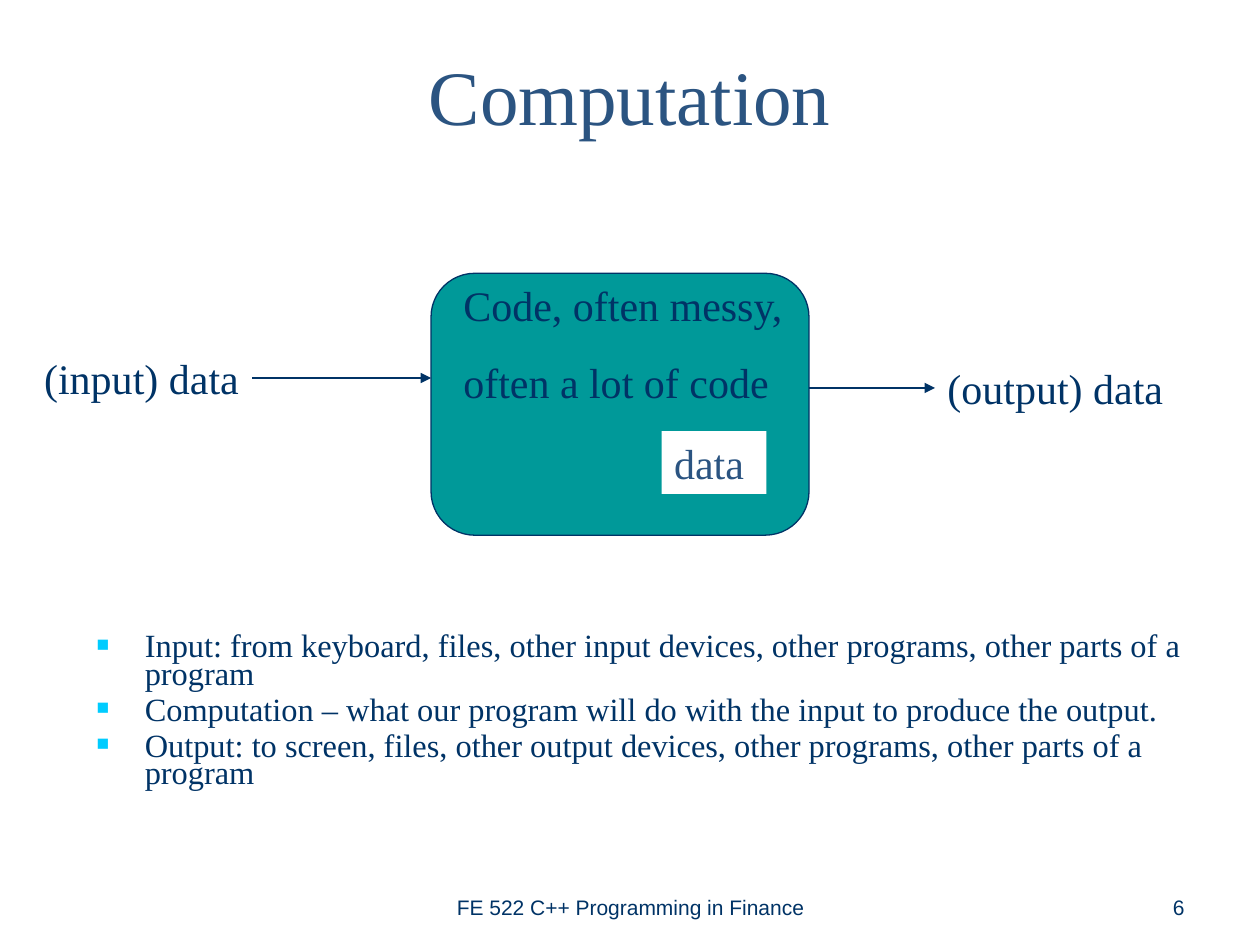
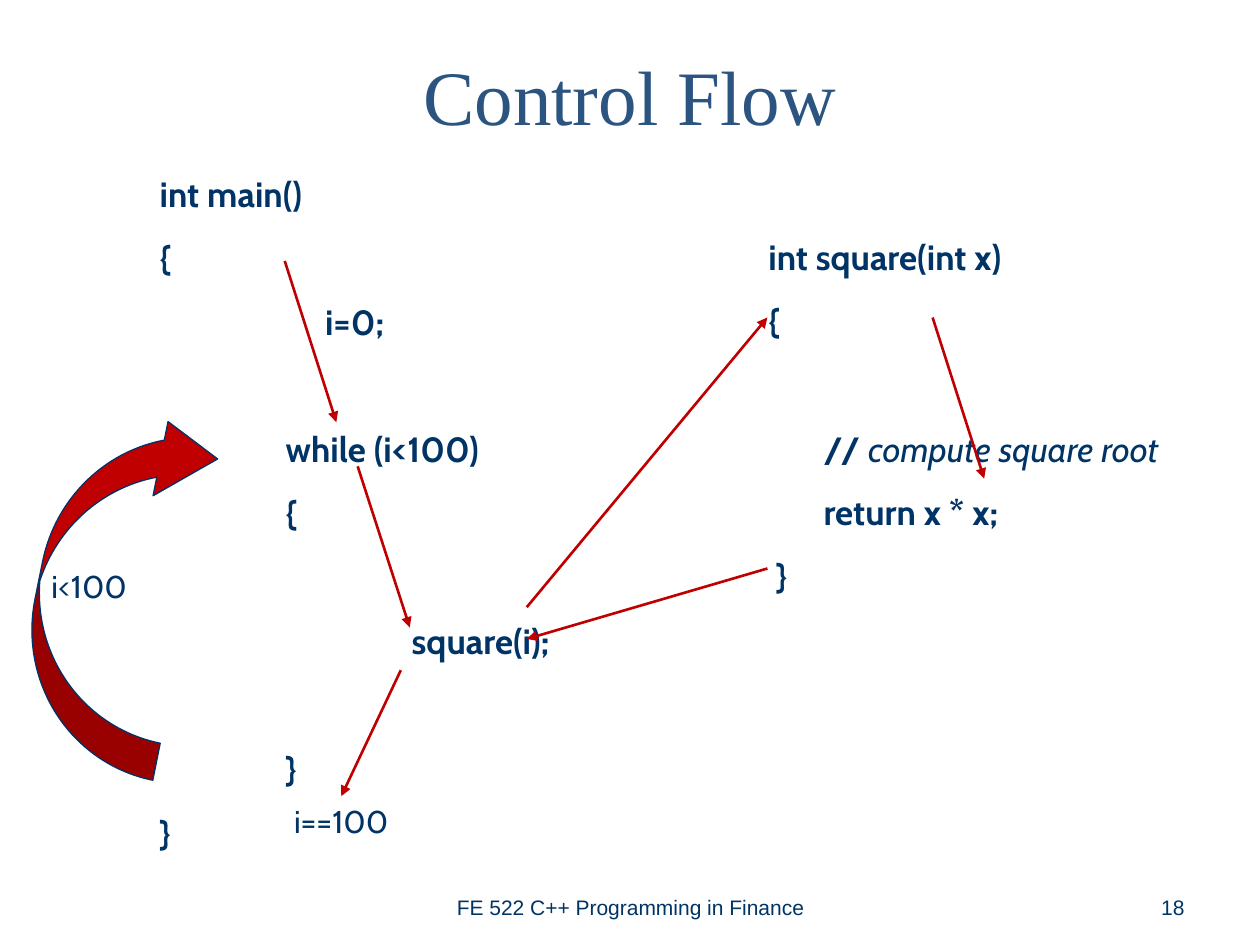
from lxml.etree import SubElement
from pptx import Presentation
from pptx.dml.color import RGBColor
from pptx.enum.shapes import MSO_CONNECTOR as Connector, MSO_SHAPE as Shape
from pptx.enum.text import MSO_ANCHOR as Anchor, MSO_AUTO_SIZE as AutoSize, PP_ALIGN as Align
from pptx.oxml.ns import qn
from pptx.util import Cm, Pt

# Shared look
COLORS = {"navy": "003366", "title": "2B5481", "teal": "009999",
          "bullet": "00CCFF", "red": "C00000", "white": "FFFFFF"}
SERIF, CODE_FONT = "Times New Roman", "Cabin"
STYLES = {
    "title": {"name": SERIF, "size": Pt(44), "color": "title"},
    "label": {"name": SERIF, "size": Pt(24), "color": "navy"},
    "data": {"name": SERIF, "size": Pt(24), "color": "title"},
    "bullets": {"name": SERIF, "size": Pt(18.5), "color": "navy"},
    "code": {"name": CODE_FONT, "size": Pt(20), "color": "navy", "bold": True},
    "condition": {"name": CODE_FONT, "size": Pt(18), "color": "navy"},
    "footer": {"name": "Arial", "size": Pt(12), "color": "navy"},
}
TITLE_AREA = (1.27, 0, 22.86, 3.81)
FOOTER = "FE 522 C++ Programming in Finance"
FOOTER_AREA = (8.69, 17.35, 8.05, 1.32)
NUMBER_AREA = (18.21, 17.35, 5.92, 1.32)

# Computation slide: areas are left, top, width, height in cm
CODE_BOX = (8.69, 5.51, 7.62, 5.28)
DATA_BOX = (13.34, 8.69, 2.11, 1.27)
LABELS = [
    (["(input) data"], (0.64, 6.99, 4.65, 1.27)),
    (["(output) data"], (18.85, 7.19, 5.2, 1.27)),
    (["Code, often messy,", "often a lot of code"], (9.09, 5.51, 12.67, 2.82)),
]
DATA_ARROWS = [(5.08, 7.62, 8.69, 7.62), (16.31, 7.82, 18.85, 7.82)]
BULLETS_AREA = (1.7, 12.7, 22.43, 4.01)
BULLETS = [
    "Input: from keyboard, files, other input devices, other programs, "
    "other parts of a program",
    "Computation – what our program will do with the input to produce the output.",
    "Output: to screen, files, other output devices, other programs, "
    "other parts of a program",
]

# Control flow slide: code lines are (tab level, text spans); None is a skipped line
MAIN_AREA, MAIN_MARGIN = (1.7, 3.35, 9.73, 14.83), 1.27
MAIN_CODE = [
    (0, ["int main()"]), (0, ["{"]), (1, ["     i=0;"]), None,
    (1, ["while (i<100)"]), (1, ["{"]), None,
    (2, ["square(i);"]), None, (1, ["}"]), (0, ["}"]),
]
SQUARE_AREA, SQUARE_MARGIN = (12.7, 4.62, 12.7, 7.54), 2.54
SQUARE_CODE = [
    (0, ["int square(int x)"]), (0, ["{"]), None,
    (0, ["       // ", ("compute square root", {"bold": False, "italic": True})]),
    (0, ["       return x * x;"]), (0, [" }"]),
]
TAB = 2.54
CODE_GAP, CODE_PITCH = 12.5, 36.5
CONDITIONS = [("i<100", (0.43, 11.3, 2.74, 1.02)), ("i==100", (5.51, 16.05, 2.74, 1.02))]
FLOW_ARROWS = [
    (5.74, 5.26, 6.78, 8.51), (7.21, 9.4, 8.26, 12.65),
    (8.08, 13.51, 6.88, 16.05), (18.8, 6.4, 19.84, 9.65),
    (15.47, 11.46, 10.62, 12.88), (10.62, 12.24, 15.47, 6.4),
]
LOOP_AREA, LOOP_TURN, LOOP_ADJUST = (-1.37, 10.29, 7.37, 3.05), 281.4, (0.25, 0.5, 0.37)


def rgb(name):
    return RGBColor.from_string(COLORS[name])


def lengths(values):
    return [Cm(value) for value in values]


def add_span(para, text, style, **changes):
    span = para.add_run()
    span.text = text
    for key, value in {**STYLES[style], **changes}.items():
        if key == "color":
            span.font.color.rgb = rgb(value)
        else:
            setattr(span.font, key, value)


def next_para(frame, index, gap=0):
    para = frame.add_paragraph() if index else frame.paragraphs[0]
    para.space_before = Pt(gap if index else 0)
    return para


def add_text(page, lines, area, style, align=Align.LEFT, anchor=Anchor.TOP, gap=0):
    box = page.shapes.add_textbox(*lengths(area))
    frame = box.text_frame
    frame.word_wrap, frame.vertical_anchor = True, anchor
    for index, line in enumerate(lines):
        para = next_para(frame, index, gap)
        para.alignment = align
        add_span(para, line, style)
    return box


def add_block(page, kind, area, fill, line=None):
    block = page.shapes.add_shape(kind, *lengths(area))
    block.shadow.inherit = False
    block.fill.solid()
    block.fill.fore_color.rgb = rgb(fill)
    if line:
        block.line.color.rgb = rgb(line)
        block.line.width = Pt(0.75)
    else:
        block.line.fill.background()
    return block


def add_arrow(page, ends, color, width):
    arrow = page.shapes.add_connector(Connector.STRAIGHT, *lengths(ends))
    arrow.line.color.rgb = rgb(color)
    arrow.line.width = Pt(width)
    SubElement(arrow.line._get_or_add_ln(), qn("a:tailEnd"), type="triangle")
    SubElement(arrow._element.spPr, qn("a:effectLst"))


def add_bullets(page):
    frame = add_text(page, BULLETS, BULLETS_AREA, "bullets", gap=5).text_frame
    for para in frame.paragraphs:
        para.line_spacing = 0.7
        props = para._p.get_or_add_pPr()
        props.set("marL", str(Cm(0.97)))
        props.set("indent", str(Cm(-0.97)))
        color = SubElement(props, qn("a:buClr"))
        SubElement(color, qn("a:srgbClr"), val=COLORS["bullet"])
        SubElement(props, qn("a:buSzPct"), val="65000")
        SubElement(props, qn("a:buFont"), typeface="Arial")
        SubElement(props, qn("a:buChar"), char="■")


def add_code(page, lines, area, margin):
    frame = add_text(page, [], area, "code").text_frame
    gap = CODE_GAP
    shown = 0
    for line in lines:
        if line is None:
            gap += CODE_PITCH
            continue
        level, spans = line
        para = next_para(frame, shown, gap)
        para._p.get_or_add_pPr().set("marL", str(Cm(margin + level * TAB)))
        for span in spans:
            text, changes = (span, {}) if isinstance(span, str) else span
            add_span(para, text, "code", **changes)
        gap = CODE_GAP
        shown += 1


def add_page(deck, title, number):
    page = deck.slides.add_slide(deck.slide_layouts[5])
    holder = page.shapes.title
    holder.left, holder.top, holder.width, holder.height = lengths(TITLE_AREA)
    frame = holder.text_frame
    frame.auto_size, frame.vertical_anchor = AutoSize.NONE, Anchor.MIDDLE
    para = frame.paragraphs[0]
    para.alignment = Align.CENTER
    add_span(para, title, "title")
    add_text(page, [FOOTER], FOOTER_AREA, "footer", Align.CENTER, Anchor.BOTTOM)
    add_text(page, [str(number)], NUMBER_AREA, "footer", Align.RIGHT, Anchor.BOTTOM)
    return page


def build_computation(deck):
    page = add_page(deck, "Computation", 6)
    add_bullets(page)
    add_block(page, Shape.ROUNDED_RECTANGLE, CODE_BOX, "teal", "navy")
    for ends in DATA_ARROWS:
        add_arrow(page, ends, "navy", 0.75)
    frame = add_block(page, Shape.RECTANGLE, DATA_BOX, "white").text_frame
    frame.vertical_anchor = Anchor.TOP
    para = frame.paragraphs[0]
    para.alignment = Align.LEFT
    add_span(para, "data", "data")
    for lines, area in LABELS:
        add_text(page, lines, area, "label", gap=15)


def build_control_flow(deck):
    page = add_page(deck, "Control Flow", 18)
    add_code(page, MAIN_CODE, MAIN_AREA, MAIN_MARGIN)
    add_code(page, SQUARE_CODE, SQUARE_AREA, SQUARE_MARGIN)
    for text, area in CONDITIONS:
        add_text(page, [text], area, "condition", Align.CENTER)
    for ends in FLOW_ARROWS:
        add_arrow(page, ends, "red", 1.5)
    loop = add_block(page, Shape.CURVED_DOWN_ARROW, LOOP_AREA, "red", "navy")
    loop.rotation = LOOP_TURN
    for index, value in enumerate(LOOP_ADJUST):
        loop.adjustments[index] = value


def main():
    deck = Presentation()
    deck.slide_width, deck.slide_height = Cm(25.4), Cm(19.05)
    build_computation(deck)
    build_control_flow(deck)
    deck.save("out.pptx")


if __name__ == "__main__":
    main()
